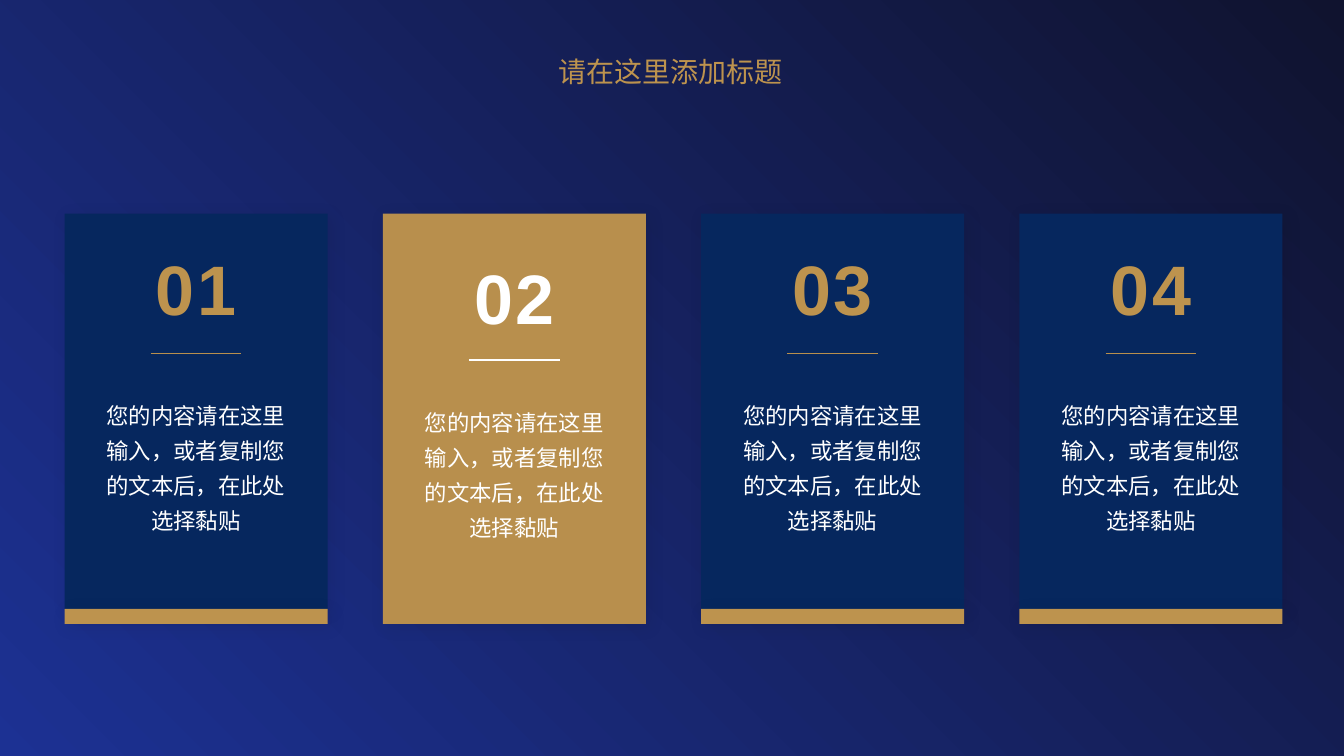
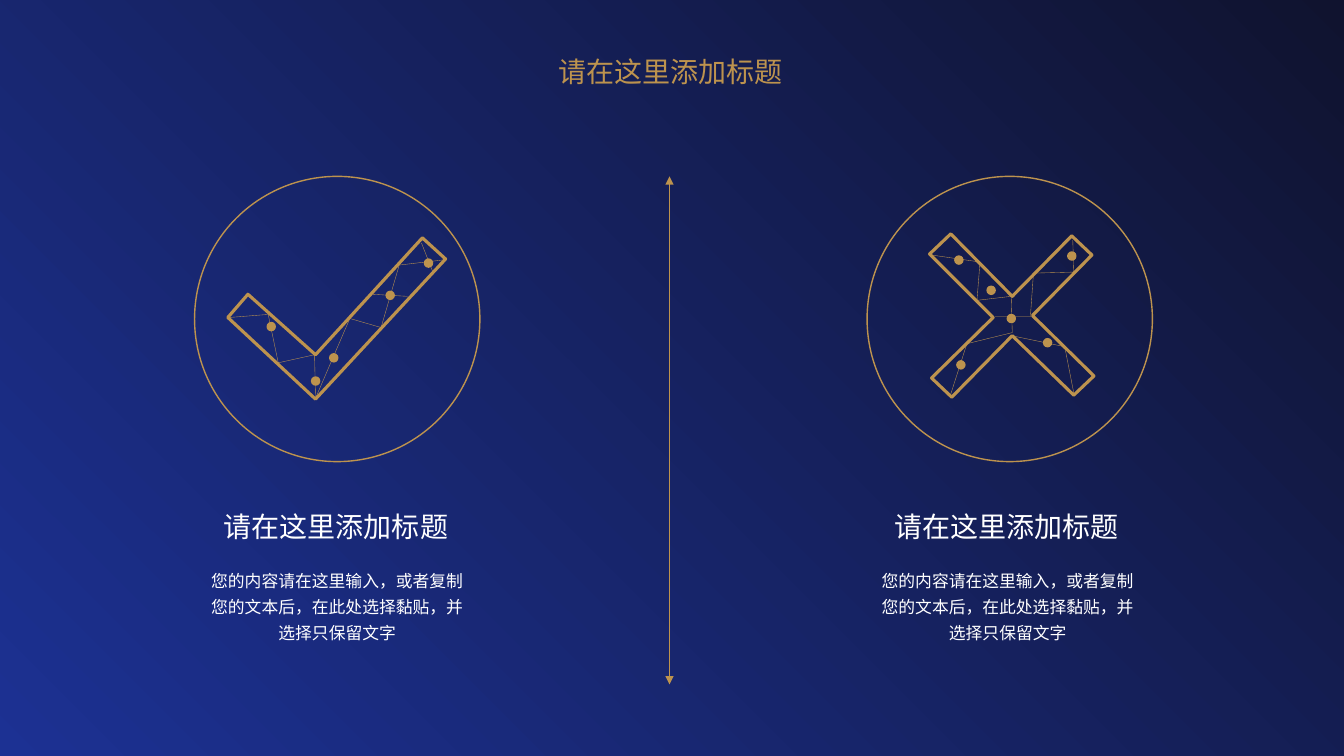
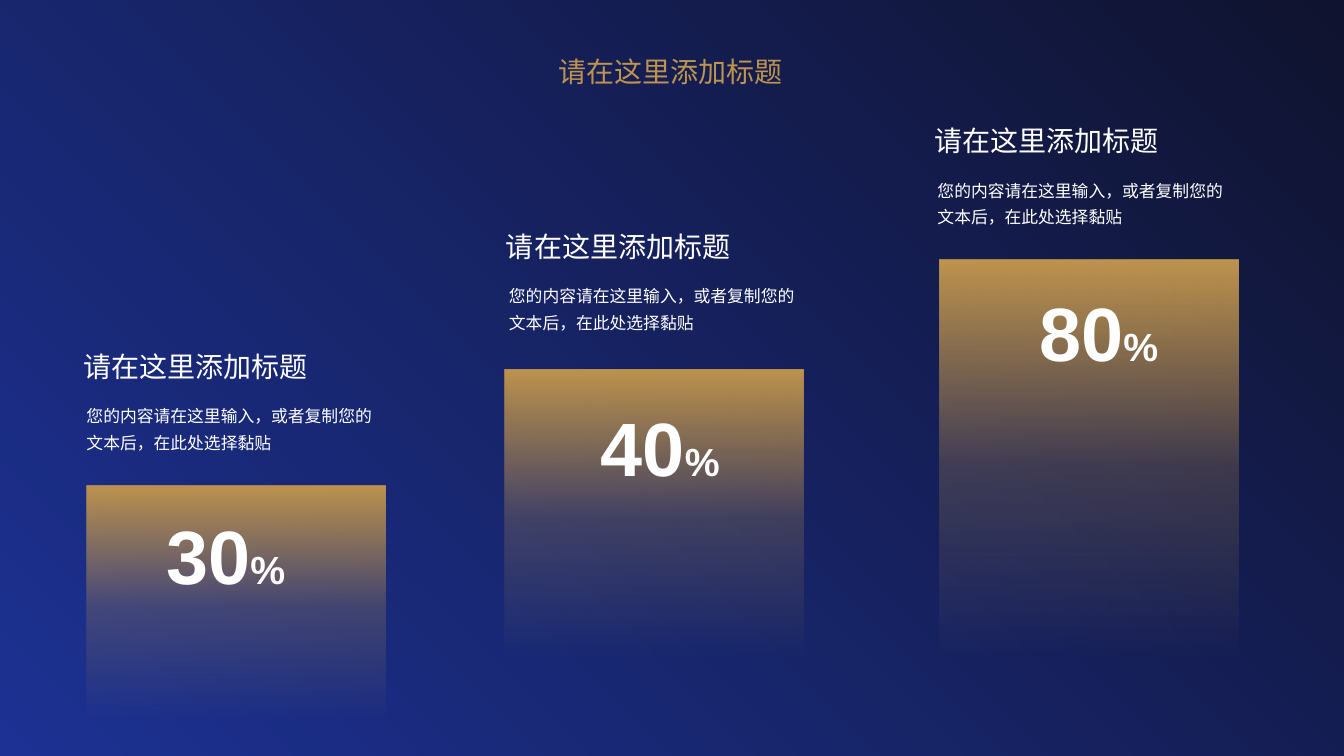
from dataclasses import dataclass
from lxml.etree import SubElement
from pptx import Presentation
from pptx.dml.color import RGBColor
from pptx.enum.shapes import MSO_CONNECTOR, MSO_SHAPE
from pptx.enum.text import MSO_ANCHOR, MSO_AUTO_SIZE, PP_ALIGN
from pptx.oxml.ns import qn
from pptx.util import Inches, Pt


@dataclass(frozen=True)
class Theme:
    blue: RGBColor = RGBColor.from_string("1C3193")
    night: RGBColor = RGBColor.from_string("10132F")
    navy: RGBColor = RGBColor.from_string("06275E")
    gold: RGBColor = RGBColor.from_string("BD934E")
    bronze: RGBColor = RGBColor.from_string("B88F4D")
    white: RGBColor = RGBColor.from_string("FFFFFF")
    latin: str = "Arial"
    chinese: str = "Noto Sans CJK SC"
    heading: int = 20
    card_number: int = 50
    card_body: int = 16
    body: int = 12
    percent: int = 54
    unit: int = 28


theme = Theme()


def write(box, text, size, color=theme.white, font=theme.latin, align=PP_ALIGN.LEFT,
          spacing=1.0, anchor=MSO_ANCHOR.TOP, wrap=True, bold=False, unit=""):
    frame = box.text_frame
    frame.word_wrap = wrap
    frame.auto_size = MSO_AUTO_SIZE.NONE
    frame.vertical_anchor = anchor
    para = frame.paragraphs[0]
    para.text = text
    para.alignment = align
    para.line_spacing = spacing
    if unit:
        para.add_run().text = unit
    for span in para.runs:
        span.font.size = Pt(size)
        span.font.bold = bold
        span.font.name = font
        span.font.color.rgb = color
        SubElement(span._r.get_or_add_rPr(), qn("a:ea"), typeface=theme.chinese)
    return para


def draw_line(shapes, points, width, color=theme.gold):
    corners = [(Inches(x), Inches(y)) for x, y in points]
    if len(corners) == 2:
        line = shapes.add_connector(MSO_CONNECTOR.STRAIGHT, *corners[0], *corners[1])
    else:
        builder = shapes.build_freeform(*corners[0])
        builder.add_line_segments(corners[1:], close=corners[0] == corners[-1])
        line = builder.convert_to_shape()
        line.fill.background()
    line.line.color.rgb = color
    line.line.width = Pt(width)
    SubElement(line.element.spPr, qn("a:effectLst"))
    return line


deck = Presentation()
deck.slide_width = Inches(13.33)
deck.slide_height = Inches(7.5)
backdrop = deck.slide_master.background.fill
backdrop.gradient()
backdrop.gradient_angle = 45
for stop, color in zip(backdrop.gradient_stops, (theme.blue, theme.night)):
    stop.color.rgb = color

heading_text = "请在这里添加标题"
body_text = "您的内容请在这里输入，或者复制您的文本后，在此处选择黏贴"

pages = []
for _ in range(3):
    page = deck.slides.add_slide(deck.slide_layouts[5])
    title = page.shapes.title
    title.left, title.top = Inches(5.44), Inches(0.49)
    title.width, title.height = Inches(2.45), Inches(0.44)
    write(title, heading_text, theme.heading, theme.gold, wrap=False)
    pages.append(page)
cards_page, choice_page, bars_page = pages

first_card, last_card, card_width, card_top = 0.64, 10.11, 2.61, 2.12
card_step = (last_card - first_card) / 3
for index in range(4):
    shapes = cards_page.shapes.add_group_shape().shapes
    left = first_card + index * card_step
    center = left + card_width / 2
    if index == 1:
        panels = [(card_top, 4.07, theme.bronze)]
        body_top, number_top, number_height, rule_top = 3.93, 2.47, 0.94, 3.57
        number_color, rule_color, number_spacing = theme.white, theme.white, 1.0
    else:
        panels = [(card_top, 3.92, theme.navy), (6.04, 0.15, theme.gold)]
        body_top, number_top, number_height, rule_top = 3.86, 2.46, 0.9, 3.51
        number_color, rule_color, number_spacing = theme.gold, theme.bronze, 0.9
    for top, height, color in panels:
        panel = shapes.add_shape(MSO_SHAPE.RECTANGLE, Inches(left), Inches(top),
                                 Inches(card_width), Inches(height))
        panel.fill.solid()
        panel.fill.fore_color.rgb = color
        panel.line.fill.background()
        effects = SubElement(panel.element.spPr, qn("a:effectLst"))
        shadow = SubElement(effects, qn("a:outerShdw"), blurRad=str(Pt(12)),
                            dist=str(Pt(3)), dir="2700000", algn="tl", rotWithShape="0")
        tint = SubElement(shadow, qn("a:srgbClr"), val="000000")
        SubElement(tint, qn("a:alpha"), val="8000")
    body = shapes.add_textbox(Inches(center - 1), Inches(body_top), Inches(2), Inches(1.5))
    write(body, body_text, theme.card_body, font=theme.chinese,
          align=PP_ALIGN.CENTER, spacing=1.3)
    number = shapes.add_textbox(Inches(center - 0.54), Inches(number_top),
                                Inches(1.08), Inches(number_height))
    para = write(number, f"{index + 1:02}", theme.card_number, number_color,
                 align=PP_ALIGN.CENTER, spacing=number_spacing,
                 anchor=MSO_ANCHOR.MIDDLE, bold=True)
    para.runs[0]._r.get_or_add_rPr().set("spc", "200")
    draw_line(shapes, [(center - 0.45, rule_top), (center + 0.45, rule_top)], 1, rule_color)

divider = draw_line(choice_page.shapes, [(6.64, 1.75), (6.64, 6.79)], 0.5)
for end in ("a:headEnd", "a:tailEnd"):
    SubElement(divider.get_or_add_ln(), qn(end), type="triangle")

cross_outline = [(9.22, 2.52), (9.43, 2.32), (10.04, 2.94), (10.63, 2.34), (10.83, 2.53),
                 (10.24, 3.13), (10.85, 3.73), (10.65, 3.92), (10.04, 3.33), (9.44, 3.94),
                 (9.24, 3.75), (9.85, 3.15), (9.22, 2.52)]
cross_threads = [
    [(9.24, 2.53), (9.72, 2.6), (9.69, 2.98), (10.03, 2.94), (10.04, 3.3), (9.59, 3.41),
     (9.43, 3.91)],
    [(9.87, 3.14), (10.22, 3.14), (10.25, 2.71), (10.65, 2.7), (10.64, 2.38)],
    [(10.65, 3.9), (10.56, 3.44), (10.03, 3.33)],
]
cross_dots = [(9.99, 3.12), (10.35, 3.36), (10.59, 2.5), (9.47, 2.54), (9.49, 3.58),
              (9.79, 2.84)]
check_outline = [(2.26, 3.15), (2.46, 2.92), (3.13, 3.52), (4.19, 2.36), (4.42, 2.57),
                 (3.13, 3.96), (2.26, 3.15)]
check_threads = [
    [(2.28, 3.15), (2.66, 3.12), (2.76, 3.6), (3.12, 3.52), (3.13, 3.95), (3.47, 3.16),
     (3.78, 3.25), (3.96, 2.63), (4.39, 2.58)],
    [(4.04, 2.94), (3.7, 2.92)],
    [(4.18, 2.41), (4.29, 2.69)],
]
check_dots = [(3.83, 2.89), (3.27, 3.51), (2.65, 3.2), (3.09, 3.74), (4.21, 2.57)]

for ring_left, text_center, outline, threads, dots in (
    (8.6, 10, cross_outline, cross_threads, cross_dots),
    (1.93, 3.35, check_outline, check_threads, check_dots),
):
    shapes = choice_page.shapes.add_group_shape().shapes
    circles = [(ring_left, 1.75, 2.83)] + [(x, y, 0.08) for x, y in dots]
    for left, top, size in circles:
        circle = shapes.add_shape(MSO_SHAPE.OVAL, Inches(left), Inches(top),
                                  Inches(size), Inches(size))
        circle.shadow.inherit = False
        circle.line.color.rgb = theme.gold
        circle.line.width = Pt(1)
        if size < 1:
            circle.fill.solid()
            circle.fill.fore_color.rgb = theme.gold
        else:
            circle.fill.background()
    draw_line(shapes, outline, 2.25)
    for thread in threads:
        draw_line(shapes, thread, 0.25)
    body = shapes.add_textbox(Inches(text_center - 1.39), Inches(5.55),
                              Inches(2.77), Inches(0.86))
    write(body, body_text + "，并选择只保留文字", theme.body, font=theme.chinese,
          align=PP_ALIGN.CENTER, spacing=1.3)
    heading = shapes.add_textbox(Inches(text_center - 1.23), Inches(5.01),
                                 Inches(2.45), Inches(0.44))
    write(heading, heading_text, theme.heading, wrap=False)

for value, left, top, height, percent_left, percent_top, heading_left, heading_top in (
    ("30", 0.86, 4.82, 2.31, 1.55, 5, 0.73, 3.42),
    ("40", 5.01, 3.67, 2.83, 5.86, 3.93, 4.92, 2.23),
    ("80", 9.32, 2.58, 3.92, 10.21, 2.79, 9.17, 1.18),
):
    bar = bars_page.shapes.add_shape(MSO_SHAPE.RECTANGLE, Inches(left), Inches(top),
                                     Inches(2.96), Inches(height))
    bar.shadow.inherit = False
    bar.line.fill.background()
    bar.fill.gradient()
    bar.fill.gradient_angle = 90
    stops = bar.element.spPr.find(qn("a:gradFill")).find(qn("a:gsLst"))
    stops.clear()
    for position, opacity in ((0, 0), (48, 25), (100, 100)):
        stop = SubElement(stops, qn("a:gs"), pos=str(position * 1000))
        tint = SubElement(stop, qn("a:srgbClr"), val=str(theme.gold))
        SubElement(tint, qn("a:alpha"), val=str(opacity * 1000))
    percent = bars_page.shapes.add_textbox(Inches(percent_left), Inches(percent_top),
                                           Inches(1.39), Inches(1.01))
    para = write(percent, value, theme.percent, wrap=False, bold=True, unit="%")
    para.runs[1].font.size = Pt(theme.unit)
    shapes = bars_page.shapes.add_group_shape().shapes
    body = shapes.add_textbox(Inches(heading_left + 0.03), Inches(heading_top + 0.5),
                              Inches(3.1), Inches(0.6))
    write(body, body_text, theme.body, font=theme.chinese, spacing=1.3)
    heading = shapes.add_textbox(Inches(heading_left), Inches(heading_top),
                                 Inches(2.45), Inches(0.44))
    write(heading, heading_text, theme.heading, wrap=False)

deck.save("out.pptx")
